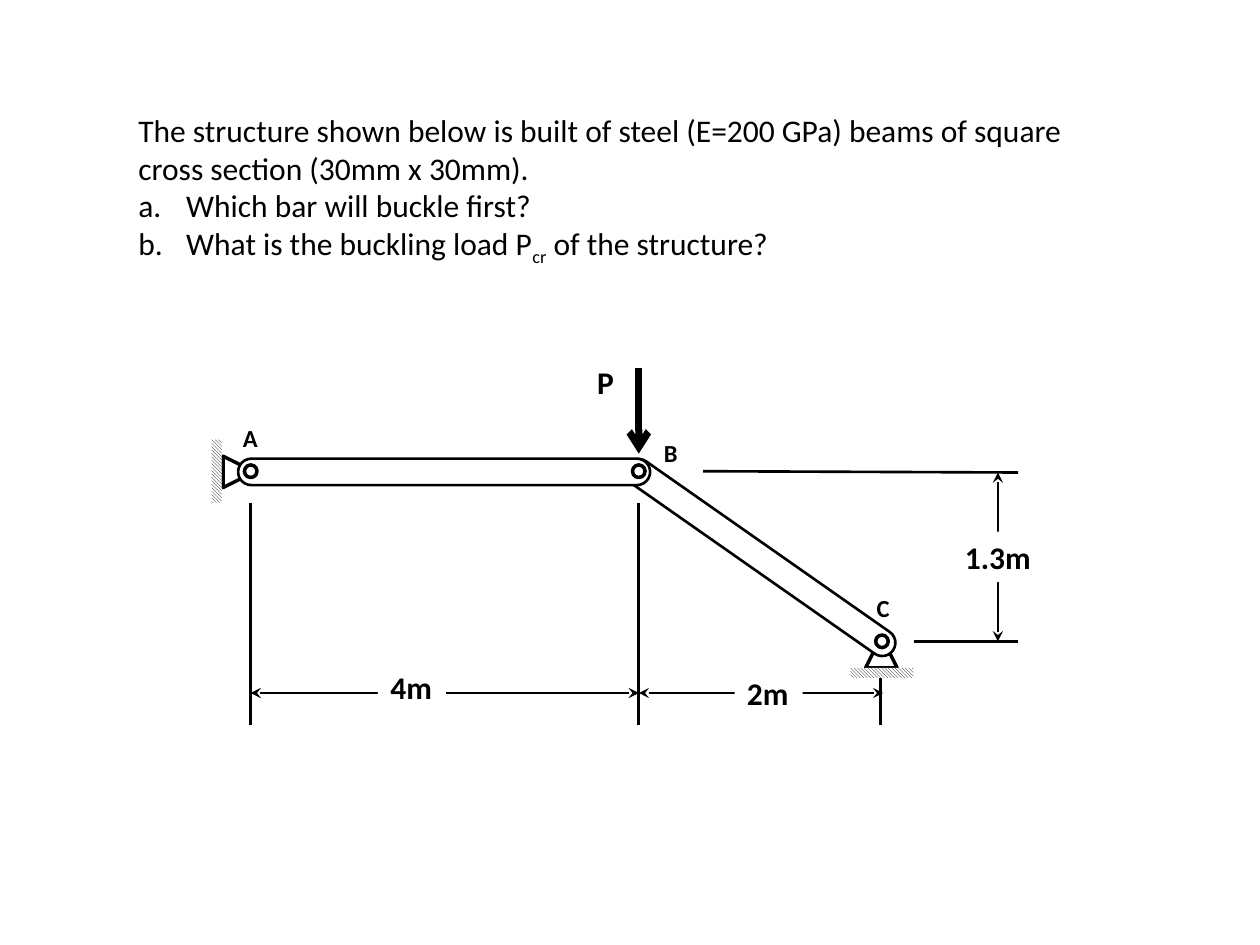
import dataclasses
import pptx
import pptx.dml.color
import pptx.enum.dml
import pptx.enum.shapes
import pptx.enum.text
import pptx.oxml.ns
import pptx.oxml.xmlchemy
import pptx.util

Inches = pptx.util.Inches
Shape = pptx.enum.shapes.MSO_SHAPE
qn = pptx.oxml.ns.qn


@dataclasses.dataclass(frozen=True)
class Theme:
    ink: pptx.dml.color.RGBColor = pptx.dml.color.RGBColor(0, 0, 0)
    paper: pptx.dml.color.RGBColor = pptx.dml.color.RGBColor(255, 255, 255)
    font: str = "Calibri"
    body: int = 18
    joint: int = 14
    thin: float = 1.5
    support: float = 2
    load: float = 4


class Diagram:
    def __init__(self, slide, theme):
        self.slide = slide
        self.theme = theme

    def place(self, kind, left, top, width, height, rotation=0):
        shape = self.slide.shapes.add_shape(
            kind, Inches(left), Inches(top), Inches(width), Inches(height))
        shape.rotation = rotation
        shape.shadow.inherit = False
        return shape

    def outlined(self, kind, box, width, rotation=0, filled=False):
        shape = self.place(kind, *box, rotation)
        if filled:
            shape.fill.solid()
            shape.fill.fore_color.rgb = self.theme.paper
        else:
            shape.fill.background()
        shape.line.color.rgb = self.theme.ink
        shape.line.width = pptx.util.Pt(width)
        return shape

    def support(self, left, top, rotation=0):
        self.outlined(Shape.ISOSCELES_TRIANGLE, (left, top, 0.25, 0.25),
                      self.theme.support, rotation)

    def bar(self, left, top, length, rotation=0):
        beam = self.outlined(Shape.ROUNDED_RECTANGLE, (left, top, length, 0.21),
                             self.theme.thin, rotation, filled=True)
        beam.adjustments[0] = 0.5

    def pin(self, x, y):
        self.outlined(Shape.OVAL, (x - 0.05, y - 0.05, 0.1, 0.1), self.theme.support)

    def wall(self, left, top, rotation=0):
        hatch = self.place(Shape.RECTANGLE, left, top, 0.08, 0.5, rotation)
        hatch.fill.patterned()
        hatch.fill.pattern = pptx.enum.dml.MSO_PATTERN.LIGHT_DOWNWARD_DIAGONAL
        hatch.fill.fore_color.rgb = self.theme.ink
        hatch.fill.back_color.rgb = self.theme.paper
        hatch.line.fill.background()

    def line(self, start, end, width=None, head=None, tail=None):
        line = self.slide.shapes.add_connector(
            pptx.enum.shapes.MSO_CONNECTOR.STRAIGHT,
            *(Inches(value) for value in (*start, *end)))
        line.line.color.rgb = self.theme.ink
        line.line.width = pptx.util.Pt(width or self.theme.thin)
        properties = line._element.spPr
        for tag, arrow in (("a:headEnd", head), ("a:tailEnd", tail)):
            if arrow:
                properties.ln.append(pptx.oxml.xmlchemy.OxmlElement(tag))
                properties.ln[-1].set("type", arrow)
        properties.append(pptx.oxml.xmlchemy.OxmlElement("a:effectLst"))

    def dimension(self, start, end):
        self.line(start, end, head="stealth", tail="stealth")

    def style(self, run, size, bold=False):
        run.font.name = self.theme.font
        run.font.size = pptx.util.Pt(size)
        run.font.bold = bold
        run.font.color.rgb = self.theme.ink

    def textbox(self, box, wrap=False):
        textbox = self.slide.shapes.add_textbox(*(Inches(value) for value in box))
        textbox.text_frame.word_wrap = wrap
        textbox.text_frame.auto_size = pptx.enum.text.MSO_AUTO_SIZE.SHAPE_TO_FIT_TEXT
        return textbox

    def label(self, text, left, top, width, height, size, filled=False):
        label = self.textbox((left, top, width, height))
        if filled:
            label.fill.solid()
            label.fill.fore_color.rgb = self.theme.paper
        label.text_frame.text = text
        self.style(label.text_frame.paragraphs[0].runs[0], size, bold=True)

    def problem(self, box, statement, questions):
        frame = self.textbox(box, wrap=True).text_frame
        frame.text = statement
        for parts in questions:
            question = frame.add_paragraph()
            properties = question._p.get_or_add_pPr()
            properties.set("marL", str(Inches(0.38)))
            properties.set("indent", str(-Inches(0.38)))
            numbering = pptx.oxml.xmlchemy.OxmlElement("a:buAutoNum")
            numbering.set("type", "alphaLcPeriod")
            properties.append(numbering)
            for text, baseline in parts:
                run = question.add_run()
                run.text = text
                if baseline:
                    run._r.get_or_add_rPr().set("baseline", str(baseline * 1000))
        for paragraph in frame.paragraphs:
            for run in paragraph.runs:
                self.style(run, self.theme.body)


def main():
    deck = pptx.Presentation()
    deck.slide_width, deck.slide_height = Inches(10), Inches(7.5)
    theme = Theme()
    diagram = Diagram(deck.slides.add_slide(deck.slide_layouts[6]), theme)

    a_x, b_x, c_x = 1.99, 5.07, 7
    beam_y, c_y = 3.74, 5.09
    span_y, height_x = 5.5, 7.92
    span_bottom, height_right = 5.75, 8.08

    diagram.support(6.87, 5.05)
    diagram.bar(4.75, 4.32, 2.57, rotation=35)
    diagram.support(1.77, 3.62, rotation=90)
    diagram.bar(1.89, 3.64, 3.27)
    for joint in ((a_x, beam_y), (b_x, beam_y), (c_x, c_y)):
        diagram.pin(*joint)
    diagram.wall(1.68, 3.49)
    diagram.wall(6.96, 5.09, rotation=270)

    diagram.line((b_x, 2.92), (b_x, 3.6), theme.load, tail="arrow")
    diagram.label("P", 4.64, 2.83, 0.34, 0.4, theme.body)

    diagram.line((5.58, beam_y), (height_right, 3.75))
    diagram.line((7.25, c_y), (height_right, c_y))
    diagram.dimension((height_x, 3.75), (height_x, c_y))
    diagram.label("1.3m", 7.56, 4.22, 0.73, 0.4, theme.body, filled=True)

    for x, top in ((b_x, 3.99), (a_x, 3.99), (6.99, 5.38)):
        diagram.line((x, top), (x, span_bottom))
    for text, start, end, left, top in (("4m", a_x, b_x, 3, 5.25),
                                        ("2m", b_x, 7.01, 5.83, 5.3)):
        diagram.dimension((start, span_y), (end, span_y))
        diagram.label(text, left, top, 0.54, 0.4, theme.body, filled=True)

    diagram.problem(
        (1, 0.83, 8, 1.31),
        "The structure shown below is built of steel (E=200 GPa) beams of square "
        "cross section (30mm x 30mm).",
        ([("Which bar will buckle first?", 0)],
         [("What is the buckling load P", 0), ("cr", -25), (" of the structure?", 0)]))

    for text, left, top, width in (("A", 1.83, 3.31, 0.32), ("B", 5.17, 3.43, 0.32),
                                   ("C", 6.86, 4.66, 0.31)):
        diagram.label(text, left, top, width, 0.34, theme.joint)

    deck.save("out.pptx")


if __name__ == "__main__":
    main()
